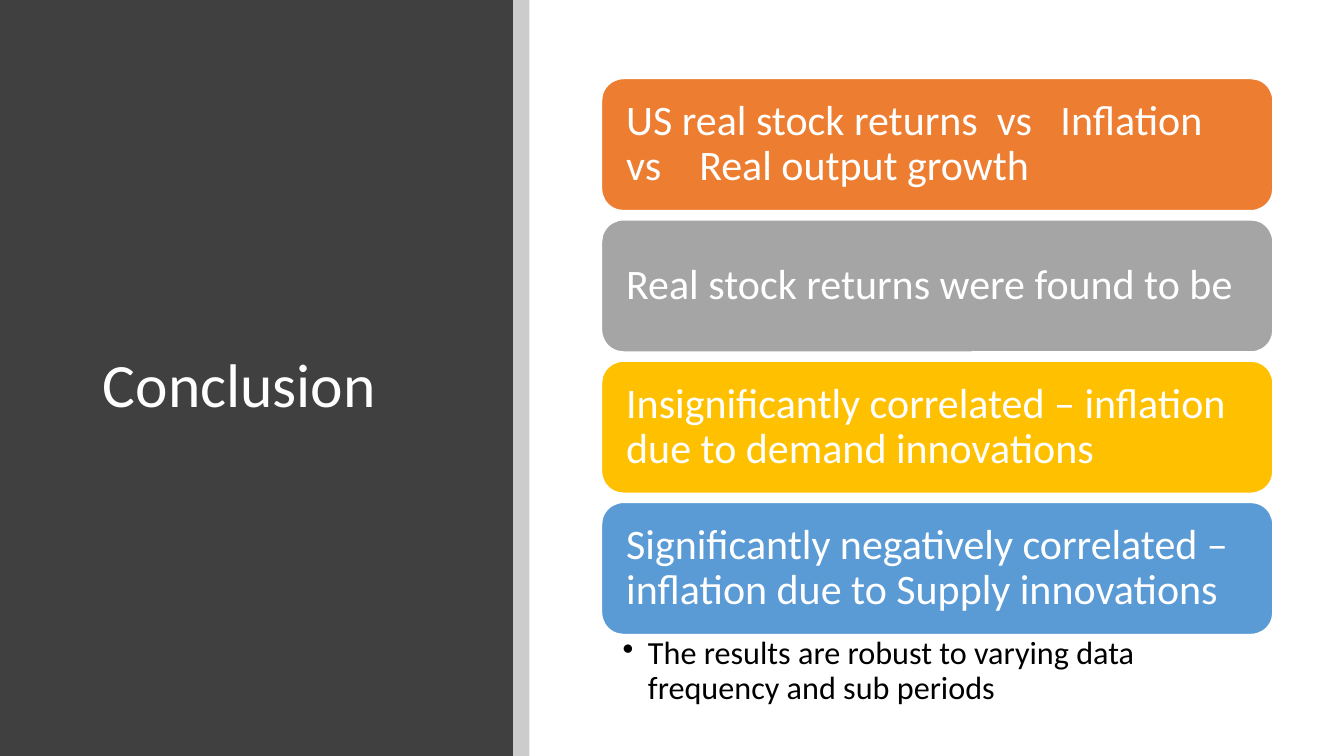
from typing import NamedTuple

import pptx
import pptx.dml.color
import pptx.enum.shapes
import pptx.enum.text
import pptx.oxml
import pptx.oxml.ns
import pptx.util

Cm = pptx.util.Cm
Kind = pptx.enum.shapes.MSO_SHAPE
Anchor = pptx.enum.text.MSO_ANCHOR
WHITE = "FFFFFF"
WIDTH, HEIGHT = 33.87, 19.05
SPLIT = 12.93
LEFT, TOP, SPAN = 15.16, 1.98, 16.92
TALL, STEP = 3.33, 3.56


class Box(NamedTuple):
    left: float
    top: float
    width: float
    height: float

    def place(self) -> list:
        return [Cm(side) for side in self]


class Card(NamedTuple):
    text: str
    fill: str


CARDS = [
    Card("US real stock returns  vs   Inflation   vs    Real output growth", "ED7D31"),
    Card("Real stock returns were found to be", "A5A5A5"),
    Card("Insignificantly correlated – inflation due to demand innovations", "FFC000"),
    Card("Significantly negatively correlated – inflation due to Supply innovations", "5B9BD5"),
]


def color(code: str) -> pptx.dml.color.RGBColor:
    return pptx.dml.color.RGBColor.from_string(code)


def apply(item, style: dict) -> None:
    for name, value in style.items():
        setattr(item, name, value)


def draw(shapes, kind, box: Box, fill: str):
    shape = shapes.add_shape(kind, *box.place())
    shape.shadow.inherit = False
    shape.fill.solid()
    shape.fill.fore_color.rgb = color(fill)
    shape.line.fill.background()
    return shape


def write(shape, text: str, size: float, ink: str, anchor, pads: tuple) -> None:
    """Fill a shape with one left-aligned paragraph; pads run left, top, right, bottom."""
    frame = shape.text_frame
    frame.text = text
    sides = ("margin_left", "margin_top", "margin_right", "margin_bottom")
    apply(frame, dict(zip(sides, map(Cm, pads))))
    apply(frame, {"word_wrap": True, "vertical_anchor": anchor,
                  "auto_size": pptx.enum.text.MSO_AUTO_SIZE.NONE})
    line = frame.paragraphs[0]
    apply(line, {"line_spacing": 0.9, "alignment": pptx.enum.text.PP_ALIGN.LEFT})
    font = line.runs[0].font
    apply(font, {"name": "Calibri", "size": pptx.util.Pt(size)})
    font.color.rgb = color(ink)


def fade(shape, share: int) -> None:
    """Set the fill's opacity in percent."""
    tone = next(shape.element.iter(pptx.oxml.ns.qn("a:srgbClr")))
    tone.append(pptx.oxml.parse_xml(
        f'<a:alpha {pptx.oxml.ns.nsdecls("a")} val="{share * 1000}"/>'))


def bullet(shape, indent: float) -> None:
    props = next(shape.element.iter(pptx.oxml.ns.qn("a:pPr")))
    props.set("marL", str(Cm(indent)))
    props.set("indent", str(-Cm(indent)))
    props.append(pptx.oxml.parse_xml(
        f'<a:buChar {pptx.oxml.ns.nsdecls("a")} char="•"/>'))


def main() -> None:
    deck = pptx.Presentation()
    apply(deck, {"slide_width": Cm(WIDTH), "slide_height": Cm(HEIGHT)})
    slide = deck.slides.add_slide(deck.slide_layouts.get_by_name("Title Only"))

    title = slide.shapes.title
    apply(title, dict(zip(("left", "top", "width", "height"),
                          Box(2.34, 2.26, 9.27, 15.01).place())))
    write(title, "Conclusion", 44, WHITE, Anchor.MIDDLE, (0.25, 0.13, 0.25, 0.13))

    panel = draw(slide.shapes, Kind.RECTANGLE, Box(0, 0, SPLIT, HEIGHT), "404040")
    title.element.addprevious(panel.element)
    strip = draw(slide.shapes, Kind.RECTANGLE, Box(SPLIT, 0, 0.41, HEIGHT), "000000")
    fade(strip, 20)

    group = slide.shapes.add_group_shape()
    for row, card in enumerate(CARDS):
        box = Box(LEFT, TOP + row * STEP, SPAN, TALL)
        shape = draw(group.shapes, Kind.ROUNDED_RECTANGLE, box, card.fill)
        shape.line.color.rgb = color(WHITE)
        shape.line.width = pptx.util.Pt(1)
        write(shape, card.text, 30, WHITE, Anchor.MIDDLE, (0.46,) * 4)

    note = group.shapes.add_textbox(*Box(LEFT, 15.95, SPAN, 2.03).place())
    write(note, "The results are robust to varying data frequency and sub periods",
          23, "000000", Anchor.TOP, (0.53, 0.1, 0.58, 0.1))
    note.text_frame.paragraphs[0].level = 1
    bullet(note, 0.64)

    deck.save("out.pptx")


if __name__ == "__main__":
    main()
